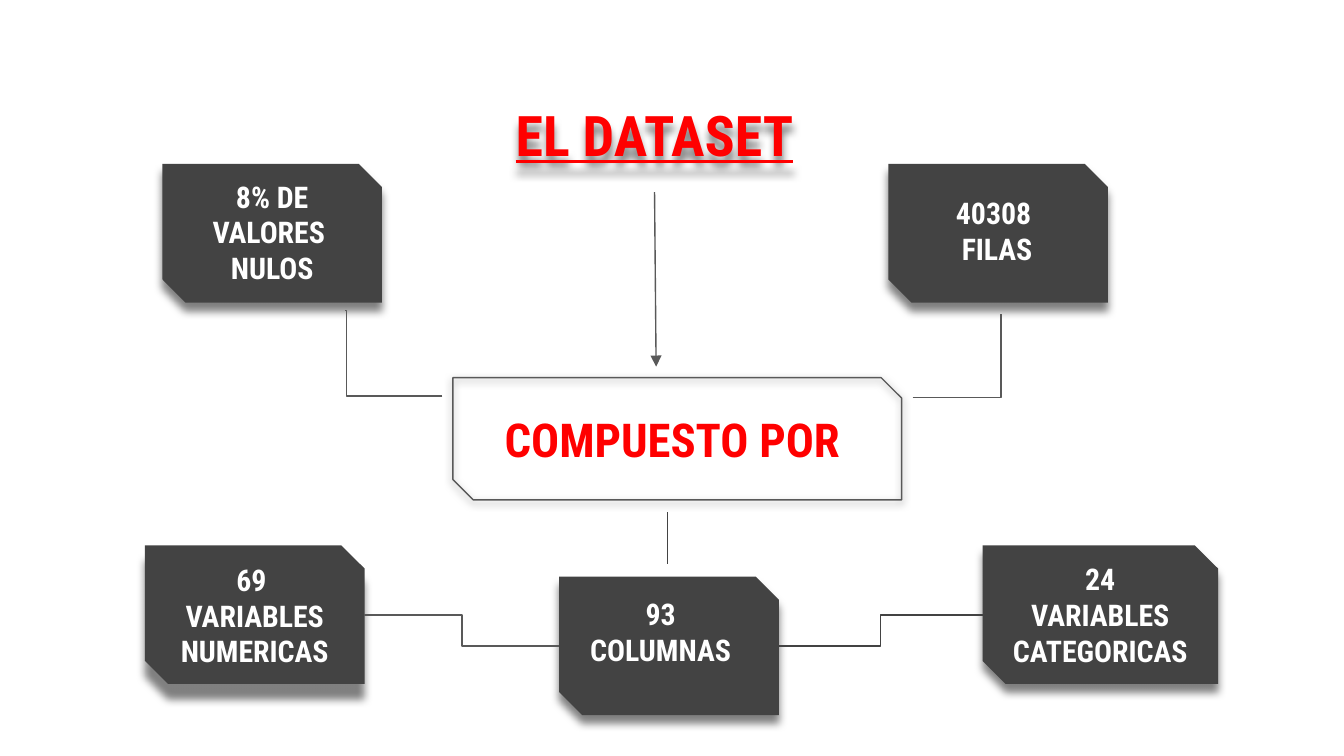
from lxml import etree
from pptx import Presentation
from pptx import util as u
from pptx.dml.color import RGBColor
from pptx.enum import shapes, text
from pptx.oxml import parse_xml
from pptx.oxml.ns import nsdecls, qn

DARK = RGBColor(0x43, 0x43, 0x43)
GREY = RGBColor(0x59, 0x59, 0x59)
RED = RGBColor(0xFF, 0x00, 0x00)
WHITE = RGBColor(0xFF, 0xFF, 0xFF)
FONT = "Roboto Condensed"


def add_shadow(sp, dist):
    sp.shadow.inherit = False
    sp._element.spPr.find(qn("a:effectLst")).append(parse_xml(
        f'<a:outerShdw {nsdecls("a")} blurRad="{u.Pt(4.5)}" dist="{u.Pt(dist)}" '
        'dir="5400000" algn="bl" rotWithShape="0"><a:srgbClr val="000000">'
        '<a:alpha val="50000"/></a:srgbClr></a:outerShdw>'))


def write(sp, lines, size, color, anchor):
    tf = sp.text_frame
    tf.word_wrap = True
    tf.auto_size = text.MSO_AUTO_SIZE.NONE
    tf.vertical_anchor = anchor
    tf.margin_left = tf.margin_right = tf.margin_top = tf.margin_bottom = u.Cm(0.25)
    for i, line in enumerate(lines):
        p = tf.add_paragraph() if i else tf.paragraphs[0]
        p.alignment = text.PP_ALIGN.CENTER
        p.line_spacing = 1.0
        p.space_before = u.Pt(0)
        r = p.add_run()
        r.text = line
        r.font.size = u.Pt(size)
        r.font.bold = True
        r.font.name = FONT
        r.font.color.rgb = color


prs = Presentation()
prs.slide_width, prs.slide_height = u.Cm(25.4), u.Cm(14.29)
s = prs.slides.add_slide(prs.slide_layouts[5])
TOP, MIDDLE = text.MSO_ANCHOR.TOP, text.MSO_ANCHOR.MIDDLE

title = s.shapes.title
title.left, title.top, title.width, title.height = u.Cm(4.57), u.Cm(1.65), u.Cm(15.6), u.Cm(1.8)
write(title, ["EL DATASET"], 30, RED, TOP)
title.text_frame.paragraphs[0].runs[0].font.underline = True
add_shadow(title, 4.5)

boxes = {}
for name, x, y, w, h, dist in [
    ("numericas", 2.74, 10.31, 4.15, 2.62, 8.2),
    ("nulos", 3.07, 3.1, 4.15, 2.62, 4.5),
    ("compuesto", 8.56, 7.14, 8.48, 2.31, 1.5),
    ("categoricas", 18.57, 10.31, 4.45, 2.62, 4.5),
    ("columnas", 10.57, 10.9, 4.15, 2.62, 4.5),
    ("filas", 16.79, 3.1, 4.15, 2.62, 4.5),
]:
    sp = s.shapes.add_shape(shapes.MSO_SHAPE.SNIP_2_DIAG_RECTANGLE,
                            u.Cm(x), u.Cm(y), u.Cm(w), u.Cm(h))
    sp.adjustments[0], sp.adjustments[1] = 0, 0.167
    if name == "compuesto":
        sp.fill.background()
        sp.line.color.rgb = GREY
        sp.line.width = u.Pt(0.75)
    else:
        sp.fill.solid()
        sp.fill.fore_color.rgb = DARK
        sp.line.fill.background()
    add_shadow(sp, dist)
    boxes[name] = sp

write(boxes["categoricas"], ["24", "VARIABLES CATEGORICAS"], 16, WHITE, MIDDLE)

for x, y, w, h, lines, size, color, anchor in [
    (2.74, 10.59, 4.15, 2.08, ["69 ", "VARIABLES NUMERICAS"], 16, WHITE, MIDDLE),
    (8.97, 7.52, 7.47, 1.57, ["COMPUESTO POR"], 25, RED, TOP),
    (10.87, 11.07, 3.23, 1.73, ["93 COLUMNAS"], 16, WHITE, MIDDLE),
    (17.12, 3.43, 3.45, 1.93, ["40308 ", "FILAS"], 16, WHITE, TOP),
    (3.53, 3.12, 3.23, 2.57, ["8% DE", "VALORES ", "NULOS"], 16, WHITE, TOP),
]:
    sp = s.shapes.add_textbox(u.Cm(x), u.Cm(y), u.Cm(w), u.Cm(h))
    write(sp, lines, size, color, anchor)

ELBOW, STRAIGHT = shapes.MSO_CONNECTOR.ELBOW, shapes.MSO_CONNECTOR.STRAIGHT
for kind, x1, y1, x2, y2, color, bend, arrow in [
    (ELBOW, 10.57, 12.21, 6.89, 11.63, GREY, 50000, False),
    (ELBOW, 14.72, 12.21, 18.57, 11.63, DARK, 50000, False),
    (ELBOW, 17.25, 7.52, 18.92, 5.94, GREY, 100000, False),
    (ELBOW, 8.36, 7.49, 6.53, 5.87, GREY, 98900, False),
    (STRAIGHT, 12.62, 9.68, 12.62, 10.67, DARK, None, False),
    (STRAIGHT, 12.37, 3.63, 12.4, 6.93, GREY, None, True),
]:
    c = s.shapes.add_connector(kind, u.Cm(x1), u.Cm(y1), u.Cm(x2), u.Cm(y2))
    c.line.color.rgb = color
    c.line.width = u.Pt(0.75)
    spPr = c._element.spPr
    if bend:
        av = spPr.find(qn("a:prstGeom")).find(qn("a:avLst"))
        etree.SubElement(av, qn("a:gd"), name="adj1", fmla=f"val {bend}")
    if arrow:
        etree.SubElement(spPr.find(qn("a:ln")), qn("a:tailEnd"), type="triangle")
    etree.SubElement(spPr, qn("a:effectLst"))

prs.save("out.pptx")
